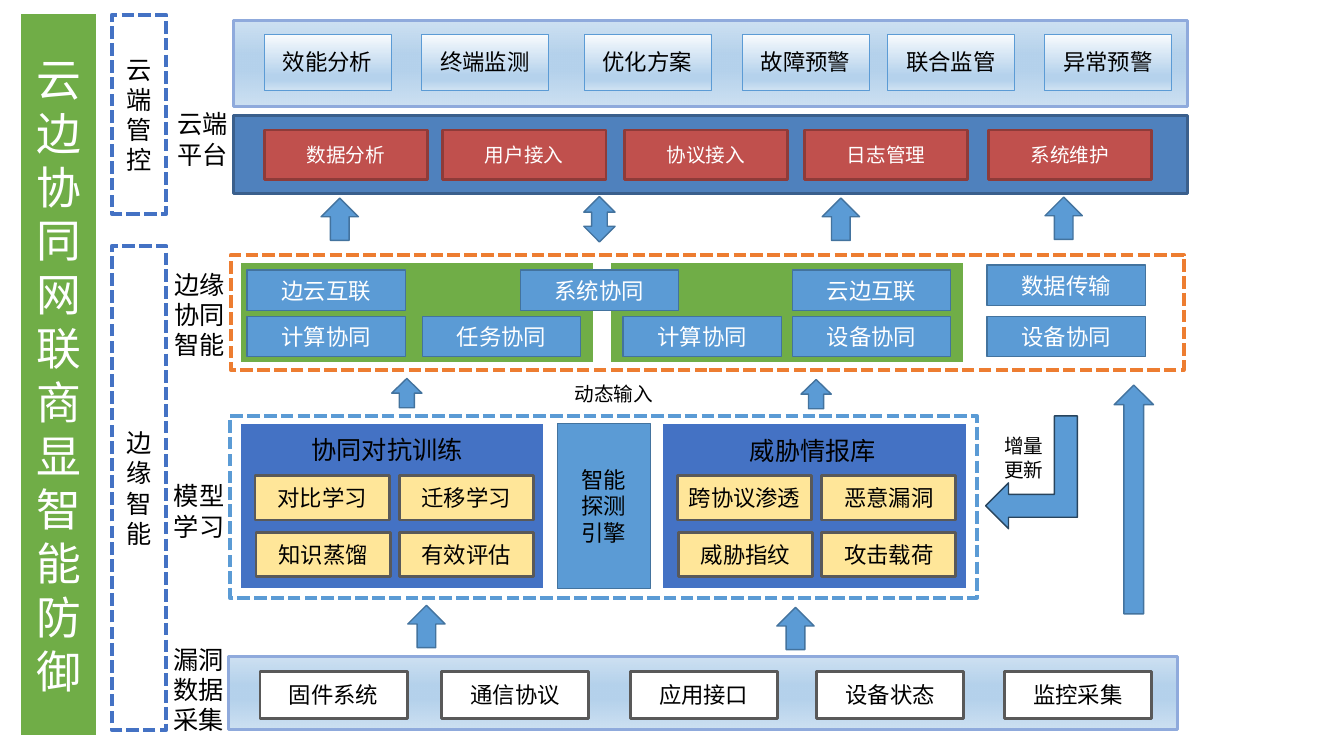
from typing import NamedTuple, Optional

from lxml import etree
from pptx import Presentation
from pptx.dml.color import RGBColor
from pptx.enum.dml import MSO_LINE
from pptx.enum.shapes import MSO_SHAPE
from pptx.enum.text import MSO_ANCHOR, MSO_AUTO_SIZE, PP_ALIGN
from pptx.oxml.ns import qn
from pptx.util import Emu, Pt

PX = 9144  # EMU per px, 100 px to the inch

RECT = MSO_SHAPE.RECTANGLE
RIGHT_ARROW = MSO_SHAPE.RIGHT_ARROW
UP_ARROW = MSO_SHAPE.UP_ARROW
UP_DOWN_ARROW = MSO_SHAPE.UP_DOWN_ARROW
BENT_ARROW = MSO_SHAPE.BENT_UP_ARROW
SYS_DASH = MSO_LINE.SQUARE_DOT
MIDDLE, TOP = MSO_ANCHOR.MIDDLE, MSO_ANCHOR.TOP
CENTER, LEFT = PP_ALIGN.CENTER, PP_ALIGN.LEFT
GROW = MSO_AUTO_SIZE.SHAPE_TO_FIT_TEXT

BLACK = RGBColor(0x00, 0x00, 0x00)
WHITE = RGBColor(0xFF, 0xFF, 0xFF)
GREEN = RGBColor(0x70, 0xAD, 0x47)
ROYAL = RGBColor(0x44, 0x72, 0xC4)
SKY = RGBColor(0x5B, 0x9B, 0xD5)
SKY_EDGE = RGBColor(0x43, 0x73, 0x9E)
NAVY_EDGE = RGBColor(0x28, 0x44, 0x5D)
STEEL = RGBColor(0x4F, 0x81, 0xBD)
STEEL_EDGE = RGBColor(0x3A, 0x5F, 0x8C)
LAVENDER = RGBColor(0x8F, 0xAA, 0xDC)
RED = RGBColor(0xC0, 0x50, 0x4D)
RED_EDGE = RGBColor(0x8E, 0x3B, 0x39)
CREAM = RGBColor(0xFF, 0xE6, 0x99)
GRAY = RGBColor(0x59, 0x59, 0x59)
ORANGE = RGBColor(0xED, 0x7D, 0x31)
ICE = RGBColor(0xF7, 0xFA, 0xFD)
PALE = RGBColor(0xB5, 0xD2, 0xEC)
MIST = RGBColor(0xCE, 0xE1, 0xF2)

# Gradient stops: position %, colour, opacity %
PANEL_GRADIENT = [(1, PALE, 65), (40, PALE, 100), (59, PALE, 100), (100, MIST, 100)]
CARD_GRADIENT = [(0, ICE, 100), (74, PALE, 100), (83, PALE, 100), (100, MIST, 100)]

SANS, DEJAVU, NOTO = "Arial", "DejaVu Sans", "Noto Sans CJK SC"


class Style(NamedTuple):
    fill: object  # RGBColor, list of gradient stops, or None
    edge: RGBColor
    width: float
    dash: Optional[object] = None
    size: int = 16
    font: str = SANS
    color: RGBColor = BLACK


TITLE = Style(GREEN, WHITE, 1.5, size=32, color=WHITE)
STAGE = Style(None, ROYAL, 3, SYS_DASH, size=18)
PANEL = Style(PANEL_GRADIENT, LAVENDER, 2)
CARD = Style(CARD_GRADIENT, SKY, 0.25, font=DEJAVU)
PLATFORM = Style(STEEL, STEEL_EDGE, 2)
SERVICE = Style(RED, RED_EDGE, 2, size=14, color=WHITE)
EDGE_FRAME = Style(None, ORANGE, 3, SYS_DASH)
EDGE_GROUP = Style(GREEN, WHITE, 1.5)
EDGE_BOX = Style(SKY, SKY_EDGE, 1, color=WHITE)
MODEL_FRAME = Style(None, SKY, 3, SYS_DASH)
MODEL_GROUP = Style(ROYAL, WHITE, 1.5)
MODEL_BOX = Style(CREAM, GRAY, 2, font=DEJAVU)
ENGINE = Style(SKY, SKY_EDGE, 1)
SOURCE = Style(WHITE, GRAY, 2, font=DEJAVU)
ARROW = Style(SKY, SKY_EDGE, 1)
UPDATE_ARROW = Style(SKY, NAVY_EDGE, 1)


def set_all(target, values):
    for name, value in values.items():
        setattr(target, name, value)


def emu(*lengths):
    return [Emu(length * PX) for length in lengths]


def write(frame, text, align, size, font, color):
    frame.text = text
    for paragraph in frame.paragraphs:
        paragraph.alignment = align
        for run in paragraph.runs:
            run.font.color.rgb = color
            set_all(run.font, {"size": Pt(size), "name": font})
            etree.SubElement(run.font._element, qn("a:ea"), typeface=NOTO)


def fill_gradient(fill, stops):
    fill.gradient()
    fill.gradient_angle = 270  # top to bottom
    stop_list = fill._xPr.find(qn("a:gradFill")).find(qn("a:gsLst"))
    for old in list(stop_list):
        stop_list.remove(old)
    for position, color, opacity in stops:
        stop = etree.SubElement(stop_list, qn("a:gs"), pos=str(position * 1000))
        tint = etree.SubElement(stop, qn("a:srgbClr"), val=str(color))
        if opacity < 100:
            etree.SubElement(tint, qn("a:alpha"), val=str(opacity * 1000))


def add_figure(slide, box, style, text="", kind=RECT, rotation=0):
    figure = slide.shapes.add_shape(kind, *emu(*box))
    figure.shadow.inherit = False
    figure.rotation = rotation
    if style.fill is None:
        figure.fill.background()
    elif isinstance(style.fill, list):
        fill_gradient(figure.fill, style.fill)
    else:
        figure.fill.solid()
        figure.fill.fore_color.rgb = style.fill
    figure.line.color.rgb = style.edge
    set_all(figure.line, {"width": Pt(style.width), "dash_style": style.dash})
    if text:
        set_all(figure.text_frame, {"word_wrap": True, "vertical_anchor": MIDDLE})
        write(figure.text_frame, text, CENTER, style.size, style.font, style.color)
    return figure


def add_row(slide, top, size, style, entries):
    for left, text in entries:
        add_figure(slide, (left, top, *size), style, text)


def add_up_arrows(slide, size, places):
    for left, top in places:
        add_figure(slide, (left, top, *size), ARROW, kind=RIGHT_ARROW, rotation=270)


def add_label(slide, box, text, size=18, font=NOTO, wrap=True):
    frame = slide.shapes.add_textbox(*emu(*box)).text_frame
    set_all(frame, {"word_wrap": wrap, "auto_size": GROW, "vertical_anchor": TOP})
    write(frame, text, CENTER if wrap else LEFT, size, font, BLACK)


def main():
    deck = Presentation()
    deck.slide_width, deck.slide_height = emu(1333, 750)
    slide = deck.slides.add_slide(deck.slide_layouts[6])

    # Title and stages
    add_figure(slide, (20, 13, 76, 717), TITLE, "云边协同网联商显智能防御")
    add_figure(slide, (111, 15, 54, 197), STAGE, "云端管控")
    add_figure(slide, (111, 244, 54, 480), STAGE, "边缘智能")

    # Vulnerability data collection
    add_figure(slide, (227, 651, 941, 73), PANEL)
    add_row(slide, 666, (146, 47), SOURCE, [
        (258, "固件系统"), (438, "通信协议"), (625, "应用接口"),
        (810, "设备状态"), (996, "监控采集")])
    add_label(slide, (159, 634, 76, 101), "漏洞数据采集")

    # Model learning
    for left in (238, 657):
        add_figure(slide, (left, 420, 302, 164), MODEL_GROUP)
    add_figure(slide, (228, 413, 741, 180), MODEL_FRAME)
    add_figure(slide, (553, 420, 92, 164), ENGINE, "智能\n探测\n引擎")
    add_row(slide, 472, (133, 44), MODEL_BOX, [
        (253, "对比学习"), (396, "迁移学习"), (672, "跨协议渗透"), (815, "恶意漏洞")])
    add_row(slide, 528, (133, 44), MODEL_BOX, [
        (254, "知识蒸馏"), (396, "有效评估"), (673, "威胁指纹"), (815, "攻击载荷")])
    add_label(slide, (299, 426, 172, 40), "协同对抗训练", font=SANS, wrap=False)
    add_label(slide, (734, 427, 146, 40), "威胁情报库", font=SANS, wrap=False)
    add_label(slide, (161, 472, 73, 71), "模型\n学习")
    add_label(slide, (545, 374, 128, 34), "动态输入", size=14)

    # Edge collaboration
    add_figure(slide, (229, 253, 945, 114), EDGE_FRAME)
    for left in (238, 605):
        add_figure(slide, (left, 260, 351, 100), EDGE_GROUP)
    edge_size = (157, 40)
    add_row(slide, 268, edge_size, EDGE_BOX, [
        (245, "边云互联"), (516, "系统协同"), (786, "云边互联")])
    add_row(slide, 263, edge_size, EDGE_BOX, [(979, "数据传输")])
    add_row(slide, 314, edge_size, EDGE_BOX, [
        (245, "计算协同"), (419, "任务协同"), (618, "计算协同"),
        (786, "设备协同"), (979, "设备协同")])
    add_label(slide, (158, 262, 80, 101), "边缘协同智能")

    # Cloud platform
    add_figure(slide, (232, 115, 946, 77), PLATFORM)
    add_row(slide, 129, (162, 49), SERVICE, [
        (262, "数据分析"), (439, "用户接入"), (619, "协议接入"),
        (798, "日志管理"), (980, "系统维护")])
    add_figure(slide, (232, 20, 946, 86), PANEL)
    add_row(slide, 34, (126, 55), CARD, [
        (262, "效能分析"), (418, "终端监测"), (579, "优化方案"),
        (736, "故障预警"), (880, "联合监管"), (1036, "异常预警")])
    add_label(slide, (161, 103, 80, 71), "云端平台")

    # Flow between the layers
    add_up_arrows(slide, (42, 37), [
        (316, 199), (813, 199), (1034, 198), (402, 603), (768, 605)])
    add_up_arrows(slide, (29, 30), [(389, 375), (795, 376)])
    add_figure(slide, (579, 195, 31, 45), ARROW, kind=UP_DOWN_ARROW)
    add_figure(slide, (1105, 382, 39, 227), ARROW, kind=UP_ARROW)
    update = add_figure(slide, (967, 423, 112, 91), UPDATE_ARROW,
                        kind=BENT_ARROW, rotation=270)
    update._element.spPr.find(qn("a:xfrm")).set("flipH", "1")
    add_label(slide, (975, 426, 81, 57), "增量\n更新", size=14)

    deck.save("out.pptx")


if __name__ == "__main__":
    main()
